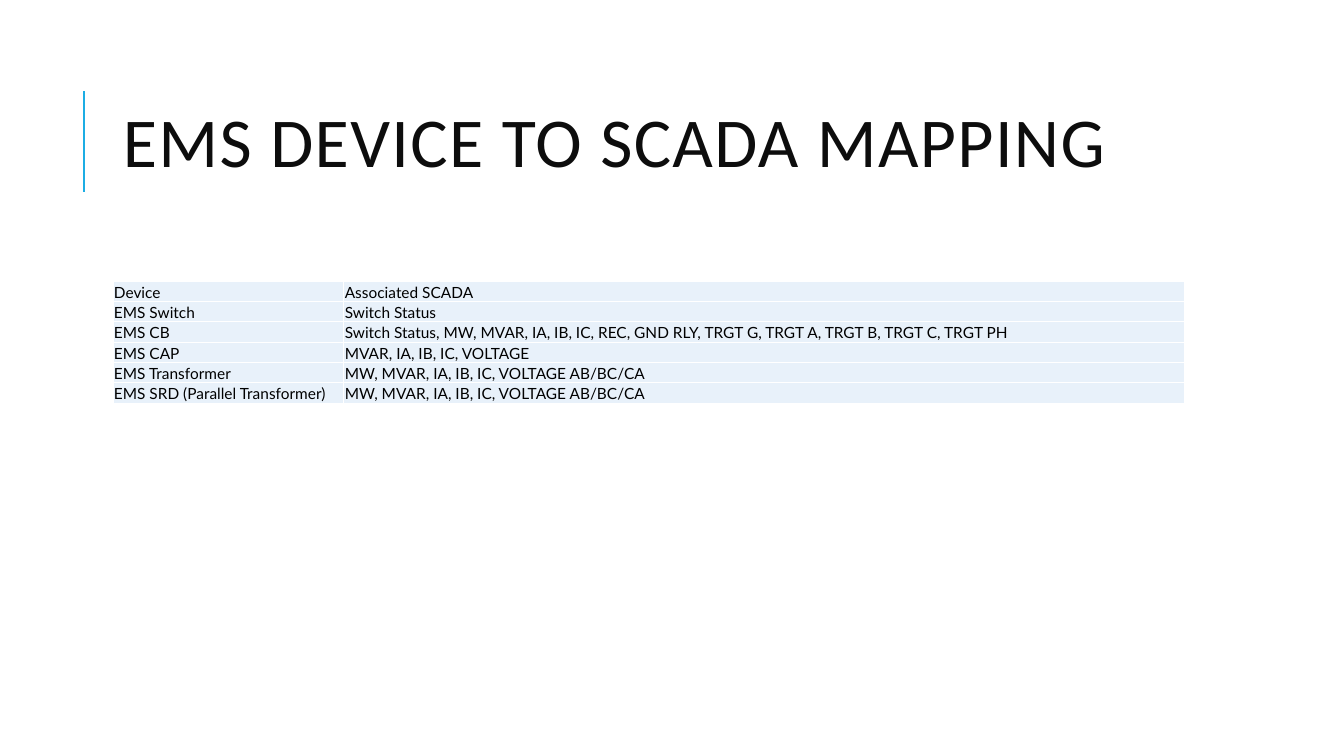
from lxml.etree import SubElement
from pptx import Presentation
from pptx.dml.color import RGBColor
from pptx.enum.shapes import MSO_CONNECTOR
from pptx.enum.text import MSO_ANCHOR
from pptx.oxml.ns import qn
from pptx.util import Inches, Pt

ROWS = [
    ("Device", "Associated SCADA"),
    ("EMS Switch", "Switch Status"),
    ("EMS CB", "Switch Status, MW, MVAR, IA, IB, IC, REC, GND RLY, "
               "TRGT G, TRGT A, TRGT B, TRGT C, TRGT PH"),
    ("EMS CAP", "MVAR, IA, IB, IC, VOLTAGE"),
    ("EMS Transformer", "MW, MVAR, IA, IB, IC, VOLTAGE AB/BC/CA"),
    ("EMS SRD (Parallel Transformer)", "MW, MVAR, IA, IB, IC, VOLTAGE AB/BC/CA"),
]


def rgb(value):
    return RGBColor.from_string(value)


def add_run(p, text, font, size, color):
    r = p.add_run()
    r.text = text
    r.font.name = font
    r.font.size = Pt(size)
    r.font.color.rgb = rgb(color)
    return r


def add_borders(cell, color, width):
    tcPr = cell._tc.get_or_add_tcPr()
    for side in ("a:lnL", "a:lnR", "a:lnT", "a:lnB"):
        ln = SubElement(tcPr, qn(side), w=str(Pt(width)))
        fill = SubElement(ln, qn("a:solidFill"))
        SubElement(fill, qn("a:srgbClr"), val=color)


def add_title(s, text, left, top, width, height):
    rule_x, rule_top = left - 0.29, top + 0.26
    line = s.shapes.add_connector(
        MSO_CONNECTOR.STRAIGHT, Inches(rule_x), Inches(rule_top + 1),
        Inches(rule_x), Inches(rule_top))
    line.line.color.rgb = rgb("1CADE4")
    line.line.width = Pt(1.5)
    SubElement(line._element.spPr, qn("a:effectLst"))

    sp = s.shapes.add_textbox(Inches(left), Inches(top), Inches(width), Inches(height))
    tf = sp.text_frame
    tf.word_wrap = True
    tf.vertical_anchor = MSO_ANCHOR.MIDDLE
    p = tf.paragraphs[0]
    p.line_spacing = 0.8
    r = add_run(p, text, "Calibri", 50, "0D0D0D")
    r.font._element.set("spc", "100")


def add_mapping_table(s, rows, left, top, width, height):
    table = s.shapes.add_table(
        len(rows), 2, Inches(left), Inches(top), Inches(width), Inches(height)).table
    table.first_row = table.horz_banding = False
    device_width = 2.29
    table.columns[0].width = Inches(device_width)
    table.columns[1].width = Inches(width - device_width)
    for row, texts in zip(table.rows, rows):
        for cell, text in zip(row.cells, texts):
            cell.margin_left = cell.margin_right = cell.margin_top = Inches(0.01)
            cell.margin_bottom = 0
            cell.vertical_anchor = MSO_ANCHOR.BOTTOM
            add_borders(cell, "FFFFFF", 1)
            cell.fill.solid()
            cell.fill.fore_color.rgb = rgb("E8F1FA")
            add_run(cell.text_frame.paragraphs[0], text, "Lato", 11, "000000")


prs = Presentation()
prs.slide_width = Inches(13.33)
prs.slide_height = Inches(7.5)
s = prs.slides.add_slide(prs.slide_layouts[6])
add_title(s, "EMS DEVICE TO SCADA MAPPING", 1.12, 0.64, 10.63, 1.64)
add_mapping_table(s, ROWS, 1.12, 2.79, 10.63, 1.21)
prs.save("out.pptx")
